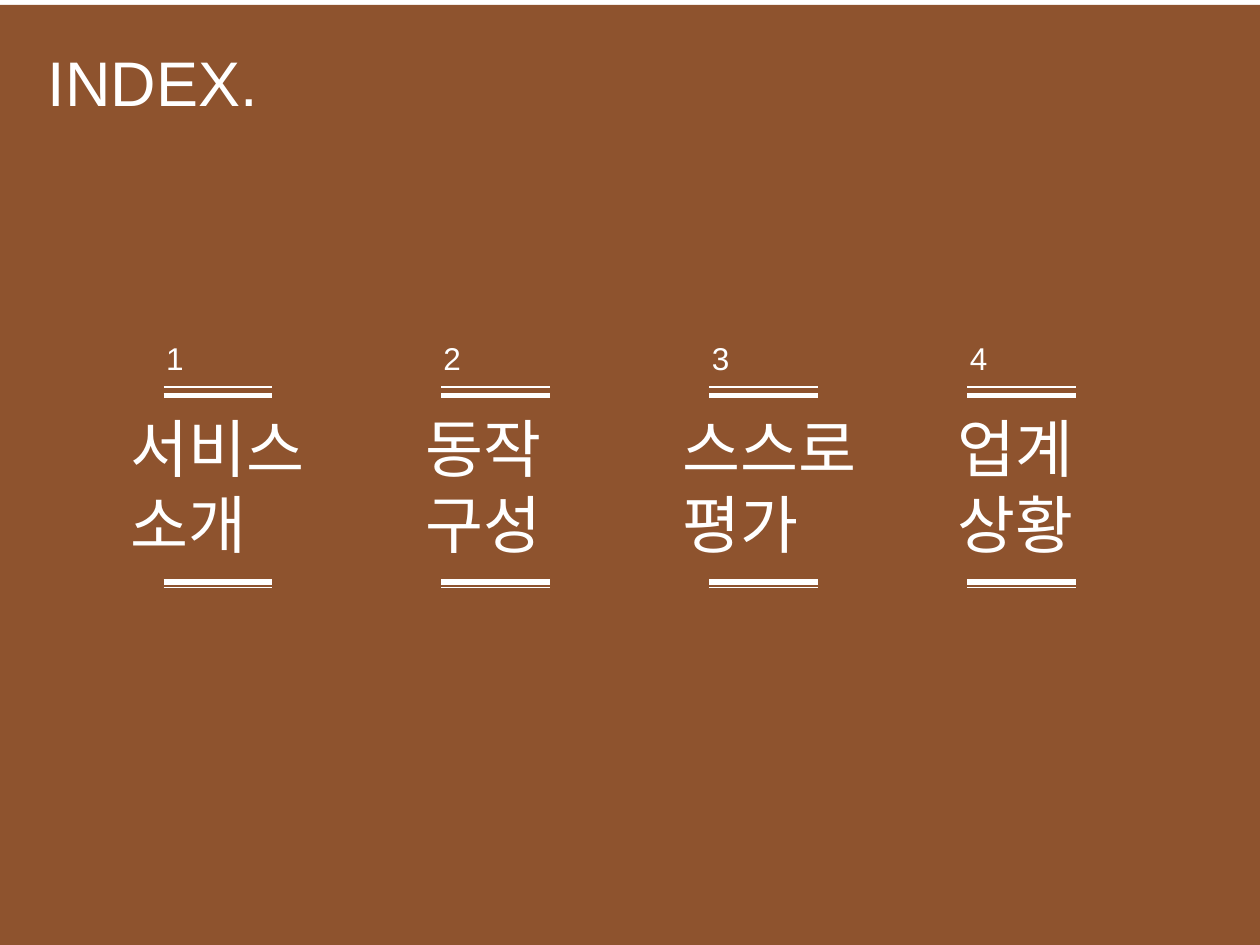
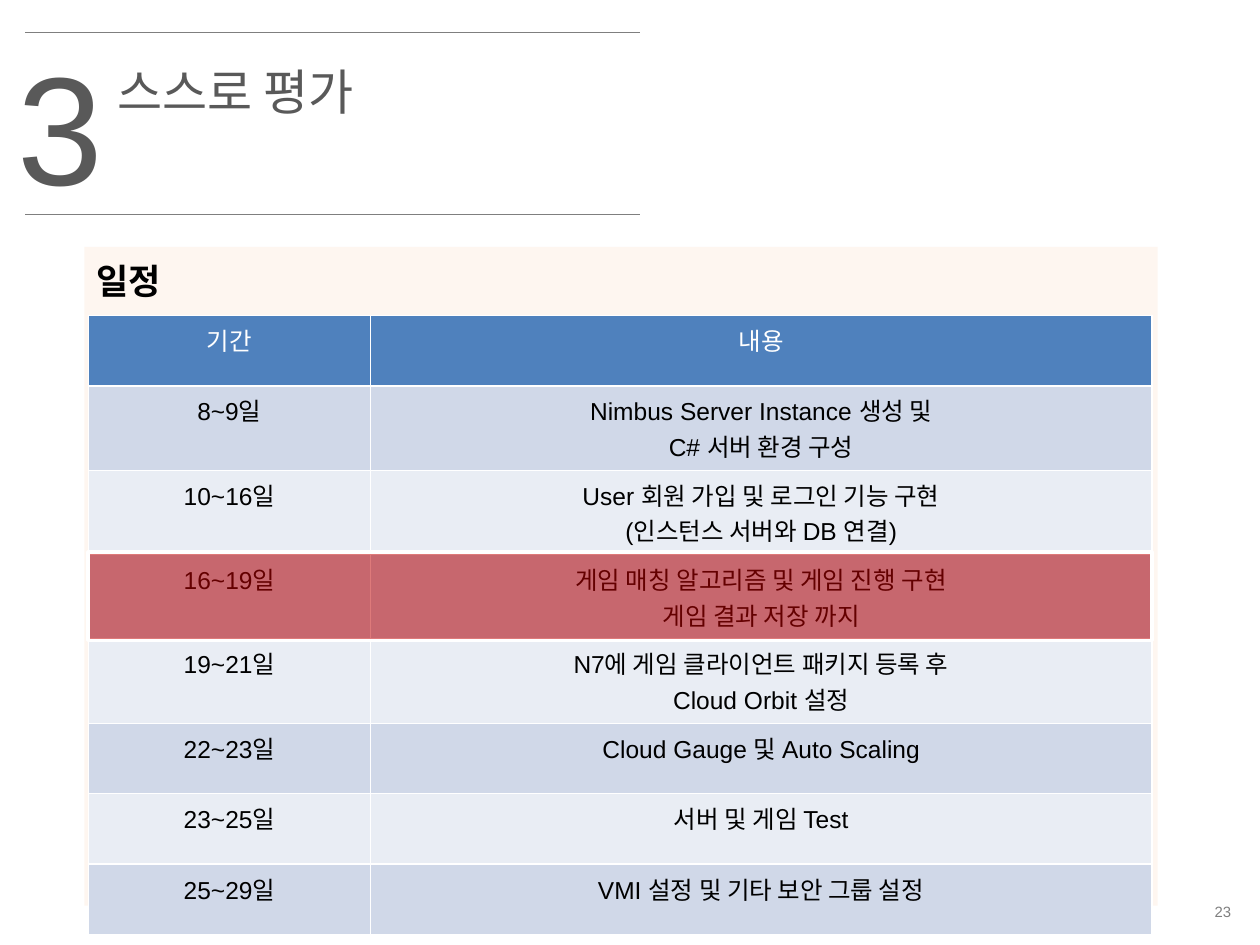
from lxml.etree import SubElement
from pptx import Presentation
from pptx.dml.color import RGBColor
from pptx.enum.shapes import MSO_CONNECTOR, MSO_SHAPE
from pptx.enum.text import MSO_ANCHOR, MSO_AUTO_SIZE, PP_ALIGN
from pptx.oxml.ns import qn
from pptx.util import Cm, Pt

WHITE = RGBColor(0xFF, 0xFF, 0xFF)
BLACK = RGBColor(0x00, 0x00, 0x00)
BROWN = RGBColor(0x8E, 0x53, 0x2E)
DARK_GREY = RGBColor(0x59, 0x59, 0x59)
GREY = RGBColor(0x7F, 0x7F, 0x7F)
CREAM = RGBColor(0xFE, 0xF6, 0xF0)
BLUE = RGBColor(0x4F, 0x81, 0xBD)
BAND_DARK = RGBColor(0xD0, 0xD8, 0xE8)
BAND_LIGHT = RGBColor(0xE9, 0xED, 0xF4)
RED = RGBColor(0xC0, 0x00, 0x00)
LATIN = "Arial"
HANGUL = "Noto Sans CJK KR"

INDEX_TITLE = "INDEX."
CHAPTERS = [
    ("서비스소개", 3.3, 2.39, 4.45),
    ("동작구성", 8.89, 8.33, 3.2),
    ("스스로\n평가", 14.3, 13.51, 4.57),
    ("업계상황", 19.5, 19.05, 3.2),
]
INDEX_RULES = [(7.8, 0.75), (7.98, 3), (11.73, 3), (11.84, 0.75)]
INDEX_RULE_LENGTH = 2.19

CHAPTER_NUMBER = "3"
CHAPTER_TITLE = "스스로 평가"
PAGE_NUMBER = "23"
SCHEDULE_TITLE = "일정"
SCHEDULE = [
    ("기간", "내용"),
    ("8~9일", "Nimbus Server Instance 생성 및\nC# 서버 환경 구성"),
    ("10~16일", "User 회원 가입 및 로그인 기능 구현\n(인스턴스 서버와 DB 연결)"),
    ("16~19일", "게임 매칭 알고리즘 및 게임 진행 구현\n게임 결과 저장 까지"),
    ("19~21일", "N7에 게임 클라이언트 패키지 등록 후\nCloud Orbit 설정"),
    ("22~23일", "Cloud Gauge 및 Auto Scaling"),
    ("23~25일", "서버 및 게임 Test"),
    ("25~29일", "VMI 설정 및 기타 보안 그룹 설정"),
]
SCHEDULE_COLUMNS = [5.69, 15.75]
ROW_HEIGHT, TALL_ROW_HEIGHT = 1.42, 1.7


def write(frame, text, size, color, font=LATIN, bold=False, align=PP_ALIGN.LEFT):
    frame.text = text
    for paragraph in frame.paragraphs:
        paragraph.alignment = align
        paragraph.font.name = font
        paragraph.font.size = Pt(size)
        paragraph.font.bold = bold
        paragraph.font.color.rgb = color


def add_label(slide, box, text, size, color, **style):
    label = slide.shapes.add_textbox(*map(Cm, box))
    label.text_frame.word_wrap = True
    write(label.text_frame, text, size, color, **style)
    return label


def set_title(slide, box, text, size, color):
    title = slide.shapes.title
    title.left, title.top, title.width, title.height = map(Cm, box)
    frame = title.text_frame
    frame.auto_size = MSO_AUTO_SIZE.NONE
    frame.vertical_anchor = MSO_ANCHOR.TOP
    write(frame, text, size, color)
    title.element.getparent().append(title.element)


def add_rule(slide, left, top, length, color, weight):
    rule = slide.shapes.add_connector(
        MSO_CONNECTOR.STRAIGHT, Cm(left), Cm(top), Cm(left + length), Cm(top))
    rule.line.color.rgb = color
    rule.line.width = Pt(weight)
    SubElement(rule.element.spPr, qn("a:effectLst"))


def add_panel(slide, box, color):
    panel = slide.shapes.add_shape(MSO_SHAPE.RECTANGLE, *map(Cm, box))
    panel.shadow.inherit = False
    panel.fill.solid()
    panel.fill.fore_color.rgb = color
    panel.line.fill.background()
    return panel


def add_cell_borders(cell):
    properties = cell._tc.get_or_add_tcPr()
    for position, side in enumerate(("lnL", "lnR", "lnT", "lnB")):
        border = properties.makeelement(qn(f"a:{side}"), {"w": str(Pt(1))})
        fill = SubElement(border, qn("a:solidFill"))
        SubElement(fill, qn("a:srgbClr"), val=str(WHITE))
        properties.insert(position, border)


def add_schedule(slide, left, top):
    heights = [TALL_ROW_HEIGHT if "\n" in task else ROW_HEIGHT for _, task in SCHEDULE]
    table = slide.shapes.add_table(
        len(SCHEDULE), len(SCHEDULE_COLUMNS), Cm(left), Cm(top),
        Cm(sum(SCHEDULE_COLUMNS)), Cm(sum(heights))).table
    for column, width in zip(table.columns, SCHEDULE_COLUMNS):
        column.width = Cm(width)
    for index, entry in enumerate(SCHEDULE):
        table.rows[index].height = Cm(heights[index])
        band = BLUE if index == 0 else BAND_DARK if index % 2 else BAND_LIGHT
        for cell, text in zip(table.rows[index].cells, entry):
            cell.fill.solid()
            cell.fill.fore_color.rgb = band
            write(cell.text_frame, text, 14, BLACK if index else WHITE,
                  align=PP_ALIGN.CENTER)
            add_cell_borders(cell)


def build_index(slide):
    add_panel(slide, (0, 0.1, 25.4, 19.05), BROWN)
    set_title(slide, (0.71, 0.74, 8.61, 1.8), INDEX_TITLE, 36, WHITE)
    for number, (name, rule_left, name_left, name_width) in enumerate(CHAPTERS, 1):
        add_label(slide, (name_left, 8.13, name_width, 3.33), name, 36, WHITE)
        add_label(slide, (rule_left - 0.2, 6.71, 3.2, 1.02), str(number), 18, WHITE)
        for top, weight in INDEX_RULES:
            add_rule(slide, rule_left, top, INDEX_RULE_LENGTH, WHITE, weight)


def build_schedule(slide):
    page = add_label(slide, (19.71, 18.03, 5.36, 0.69), PAGE_NUMBER, 8.5, GREY,
                     align=PP_ALIGN.RIGHT)
    page.text_frame.vertical_anchor = MSO_ANCHOR.MIDDLE
    set_title(slide, (2.11, 1.12, 11.4, 1.45), CHAPTER_TITLE, 28, DARK_GREY)
    add_label(slide, (0.1, 0.51, 3, 4.01), CHAPTER_NUMBER, 88, DARK_GREY)
    for top in (0.66, 4.32):
        add_rule(slide, 0.51, top, 12.39, GREY, 0.75)

    panel = add_panel(slide, (1.7, 4.98, 21.64, 13.28), CREAM)
    panel.text_frame.vertical_anchor = MSO_ANCHOR.TOP
    panel.text_frame.margin_top = Cm(0.25)
    write(panel.text_frame, SCHEDULE_TITLE, 20, BLACK, font=HANGUL, bold=True)
    add_schedule(slide, 1.78, 6.36)

    highlight = add_panel(slide, (1.78, 11.13, 21.44, 1.78), RED)
    highlight.line.color.rgb = WHITE
    highlight.line.width = Pt(2)
    tint = highlight.element.spPr.find(qn("a:solidFill")).find(qn("a:srgbClr"))
    SubElement(tint, qn("a:alpha"), val="52000")


def main():
    deck = Presentation()
    deck.slide_width, deck.slide_height = Cm(25.4), Cm(19.05)
    title_only = deck.slide_layouts[5]
    for build in (build_index, build_schedule):
        build(deck.slides.add_slide(title_only))
    deck.save("out.pptx")


if __name__ == "__main__":
    main()
